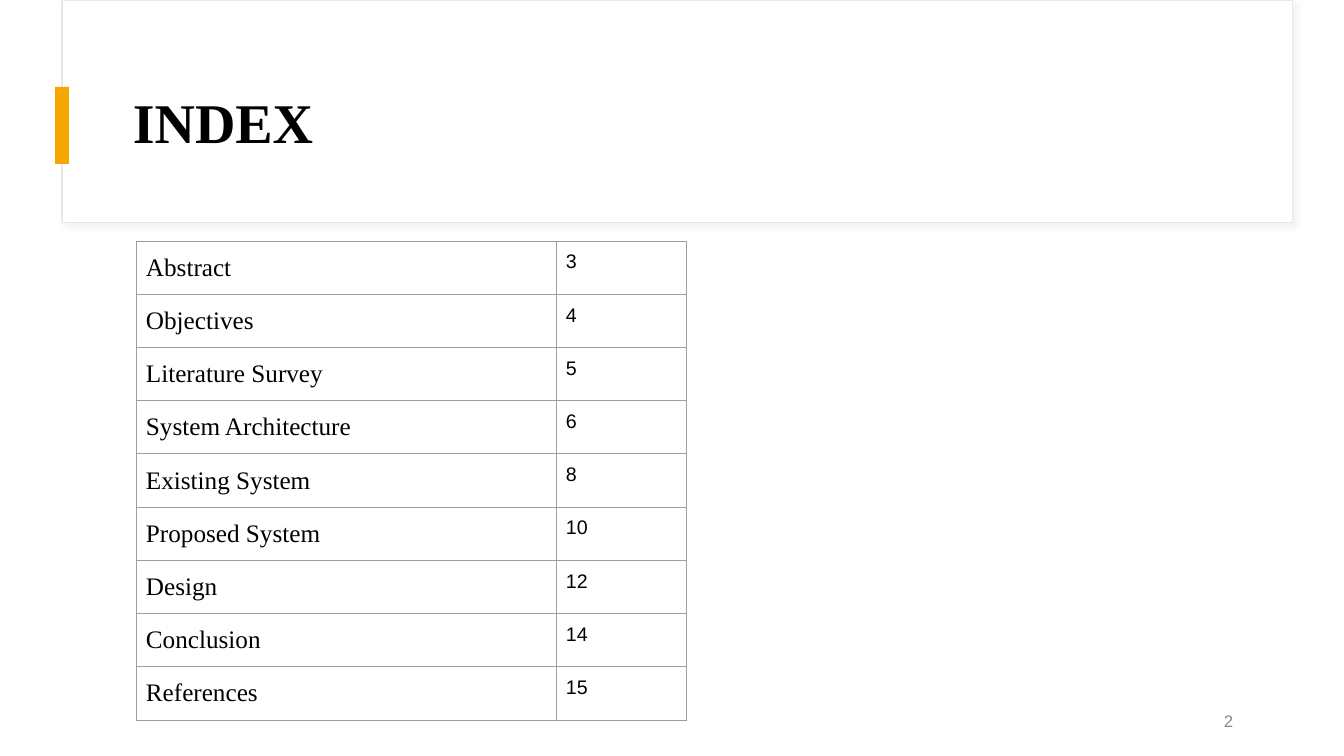
from lxml.etree import SubElement
from pptx import Presentation
from pptx.dml.color import RGBColor
from pptx.enum.shapes import MSO_SHAPE
from pptx.enum.text import MSO_ANCHOR, PP_ALIGN
from pptx.oxml.ns import qn
from pptx.util import Pt

EMU_PER_PX = 12192000 / 1344
SERIF = "Times New Roman"
SANS = "Arial"
CHAPTERS = [
    ("Abstract", 3),
    ("Objectives", 4),
    ("Literature Survey", 5),
    ("System Architecture", 6),
    ("Existing System", 8),
    ("Proposed System", 10),
    ("Design", 12),
    ("Conclusion", 14),
    ("References", 15),
]


def px(length):
    return round(length * EMU_PER_PX)


def rgb(hex_color):
    return RGBColor.from_string(hex_color)


def add_panel(slide, left, top, width, height, fill, border=None):
    panel = slide.shapes.add_shape(
        MSO_SHAPE.RECTANGLE, px(left), px(top), px(width), px(height))
    panel.shadow.inherit = False
    panel.fill.solid()
    panel.fill.fore_color.rgb = rgb(fill)
    if border:
        panel.line.color.rgb = rgb(border)
        panel.line.width = Pt(0.75)
    else:
        panel.line.fill.background()
    return panel


def add_soft_shadow(panel, color):
    effects = panel._element.spPr.find(qn("a:effectLst"))
    shadow = SubElement(
        effects, qn("a:outerShdw"), blurRad=str(Pt(4)), dist=str(Pt(3)),
        dir="2700000", algn="tl", rotWithShape="0")
    tint = SubElement(shadow, qn("a:srgbClr"), val=color)
    SubElement(tint, qn("a:alpha"), val="29000")


def add_run(paragraph, text, font, size, color, bold=False):
    run = paragraph.add_run()
    run.text = text
    run.font.name = font
    run.font.size = Pt(size)
    run.font.bold = bold
    run.font.color.rgb = rgb(color)


def add_label(slide, left, top, width, height):
    label = slide.shapes.add_textbox(px(left), px(top), px(width), px(height))
    frame = label.text_frame
    frame.word_wrap = True
    frame.vertical_anchor = MSO_ANCHOR.MIDDLE
    return frame.paragraphs[0]


def style_cell(cell, border):
    cell.margin_left = cell.margin_right = px(10)
    cell.margin_top = cell.margin_bottom = px(10)
    properties = cell._tc.get_or_add_tcPr()
    for side in ("lnL", "lnR", "lnT", "lnB"):
        edge = SubElement(properties, qn(f"a:{side}"), w=str(Pt(0.75)))
        edge_fill = SubElement(edge, qn("a:solidFill"))
        SubElement(edge_fill, qn("a:srgbClr"), val=border)
    cell.fill.background()


def add_index(slide, left, top, column_widths, row_height):
    index = slide.shapes.add_table(
        len(CHAPTERS), len(column_widths), px(left), px(top),
        px(sum(column_widths)), px(row_height * len(CHAPTERS))).table
    index.first_row = False
    index.horz_banding = False
    for column, width in zip(index.columns, column_widths):
        column.width = px(width)
    for row, (chapter, page) in zip(index.rows, CHAPTERS):
        row.height = px(row_height)
        for cell in row.cells:
            style_cell(cell, "9E9E9E")
        chapter_line, page_line = (
            cell.text_frame.paragraphs[0] for cell in row.cells)
        chapter_line.line_spacing = 1.1
        chapter_line.space_before = Pt(10)
        add_run(chapter_line, chapter, SERIF, 18, "000000")
        add_run(page_line, str(page), SANS, 14, "000000")


def main():
    deck = Presentation()
    deck.slide_width = px(1344)
    deck.slide_height = px(756)
    slide = deck.slides.add_slide(deck.slide_layouts[6])

    header = add_panel(slide, 62, 0, 1231, 223, "FFFFFF", "E8E8E8")
    add_soft_shadow(header, "D8D8D8")
    add_panel(slide, 55, 87, 14, 77, "F5A700")

    title = add_label(slide, 123, 60, 1121, 130)
    title.line_spacing = 0.9
    add_run(title, "INDEX", SERIF, 40, "000000", bold=True)

    page_number = add_label(slide, 941, 701, 302, 40)
    page_number.alignment = PP_ALIGN.RIGHT
    add_run(page_number, "2", SANS, 12, "888888")

    add_index(slide, 136, 241, (420, 131), 48)
    deck.save("out.pptx")


if __name__ == "__main__":
    main()
